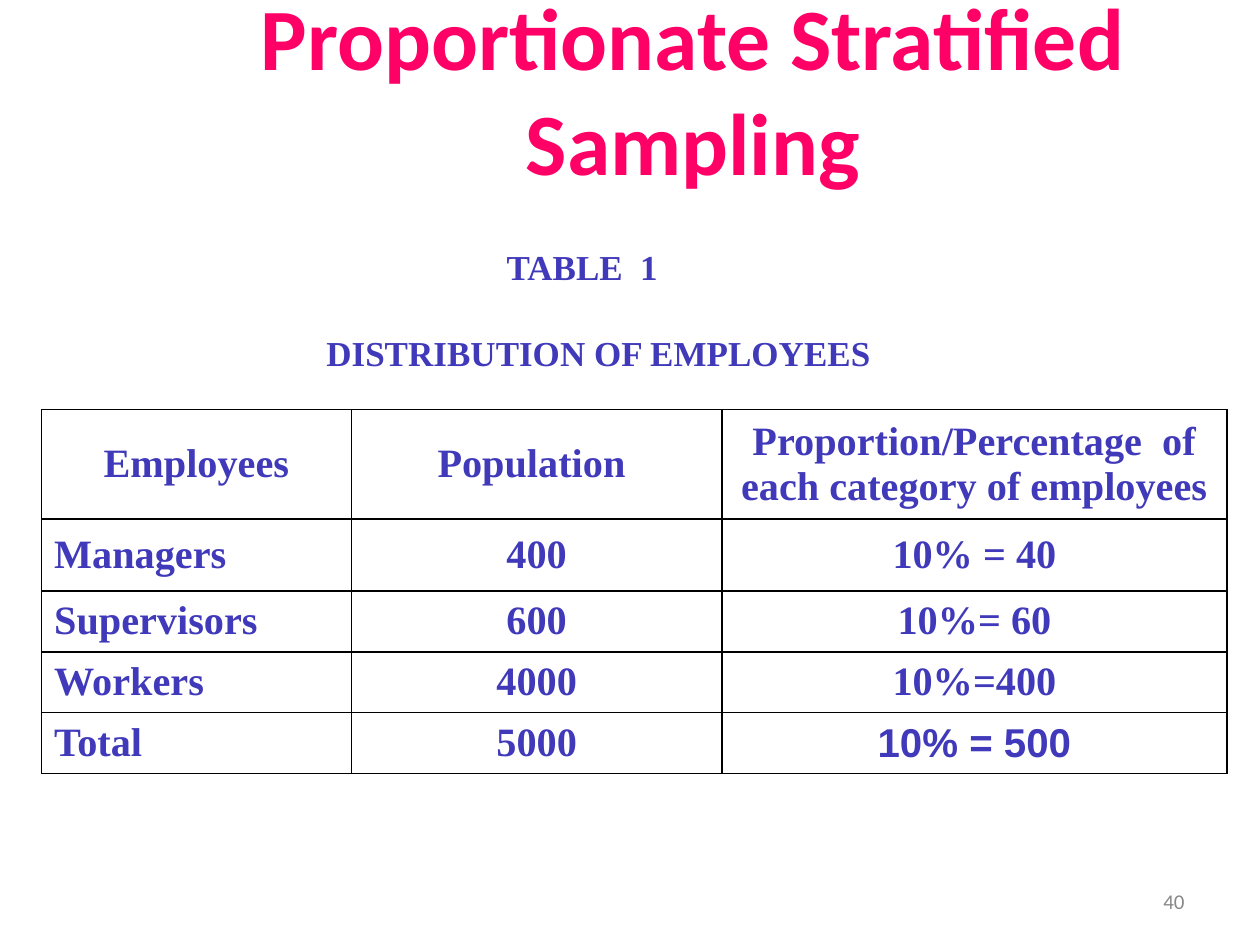
from pptx import Presentation
from pptx.dml.color import RGBColor as Rgb
from pptx.enum.text import MSO_ANCHOR as Anchor, PP_ALIGN as Align
from pptx.oxml.ns import qn
from pptx.util import Inches, Pt
from lxml.etree import SubElement as Sub

BLUE = "403ABA"
SERIF = "Times New Roman"
HEAD = {"name": "Calibri", "size": Pt(50), "bold": True, "color": "FF0066"}
LABEL = {"name": SERIF, "size": Pt(20), "bold": True, "color": BLUE}
CELL = {**LABEL, "size": Pt(23)}
PAGE = {"name": "Calibri", "size": Pt(12), "bold": False, "color": "888888"}
COLS = (2.46, 2.94, 4.01)
HIGH = (0.87, 0.57, 0.48, 0.48, 0.48)
ROWS = (
    ("Employees", "Population ", "Proportion/Percentage  of each category of employees"),
    ("Managers", "400", "10% = 40"),
    ("Supervisors", "600", "10%= 60"),
    ("Workers", "4000", "10%=400"),
    ("Total", "5000", "10% = 500"),
)


def tint(code):
    """Turn a hex string into a colour."""
    return Rgb.from_string(code)


def style(par, look, align=Align.LEFT):
    """Apply format values to a paragraph."""
    par.alignment = align
    for key, value in look.items():
        if key == "color":
            par.font.color.rgb = tint(value)
        else:
            setattr(par.font, key, value)


def place(shape, box):
    """Move a shape to a box given in inches."""
    for key, value in zip(("left", "top", "width", "height"), box):
        setattr(shape, key, Inches(value))


def frame(shape, anchor, pad=(0.1, 0.05)):
    """Set wrapping, anchor and margins of a shape's text."""
    text = shape.text_frame
    side, edge = map(Inches, pad)
    values = {"word_wrap": True, "vertical_anchor": anchor,
              "margin_left": side, "margin_right": side,
              "margin_top": edge, "margin_bottom": edge}
    for key, value in values.items():
        setattr(text, key, value)
    return text


def title(slide, box):
    """Fill the title placeholder."""
    shape = slide.shapes.title
    place(shape, box)
    text = frame(shape, Anchor.BOTTOM)
    text.text = "Proportionate Stratified Sampling"
    style(text.paragraphs[0], HEAD, Align.CENTER)


def label(slide, box):
    """Add the two caption lines above the table."""
    shape = slide.shapes.add_textbox(*map(Inches, box))
    text = frame(shape, Anchor.MIDDLE, (0, 0))
    text.text = "TABLE  1\nDISTRIBUTION OF EMPLOYEES"
    for par, left in zip(text.paragraphs, (2, 0.57)):
        par._p.get_or_add_pPr().set("marL", str(Inches(left)))
        style(par, LABEL)
    text.paragraphs[1].space_before = Pt(25)


def border(cell):
    """Draw a thin black line on each side of a cell."""
    prop = cell._tc.get_or_add_tcPr()
    for spot, side in enumerate(("a:lnL", "a:lnR", "a:lnT", "a:lnB")):
        line = Sub(prop, qn(side), w=str(Pt(1)))
        fill = Sub(line, qn("a:solidFill"))
        Sub(fill, qn("a:srgbClr"), val="000000")
        prop.insert(spot, line)


def table(slide, box):
    """Add the table of employees."""
    shape = slide.shapes.add_table(len(ROWS), len(COLS), *map(Inches, box))
    grid = shape.table
    grid.first_row = grid.horz_banding = False
    for col, width in zip(grid.columns, COLS):
        col.width = Inches(width)
    for row, high, words in zip(grid.rows, HIGH, ROWS):
        row.height = Inches(high)
        for spot, (cell, word) in enumerate(zip(row.cells, words)):
            cell.text = word
            cell.vertical_anchor = Anchor.MIDDLE
            cell.fill.background()
            border(cell)
            first = spot == 0 and words is not ROWS[0]
            style(cell.text_frame.paragraphs[0], CELL,
                  Align.LEFT if first else Align.CENTER)
    last = grid.cell(len(ROWS) - 1, len(COLS) - 1)
    last.text_frame.paragraphs[0].font.name = "Arial"


def number(slide, box):
    """Add the page number."""
    shape = slide.shapes.add_textbox(*map(Inches, box))
    text = frame(shape, Anchor.MIDDLE)
    text.text = "40"
    style(text.paragraphs[0], PAGE, Align.RIGHT)


def main():
    """Build and save the slide."""
    deck = Presentation()
    deck.slide_width, deck.slide_height = Inches(10), Inches(7.5)
    slide = deck.slides.add_slide(deck.slide_layouts[5])
    number(slide, (7.17, 6.95, 2.33, 0.4))
    title(slide, (1.5, 0.33, 8, 1.25))
    label(slide, (2.02, 1.62, 5.89, 1.67))
    table(slide, (0.33, 3.25, sum(COLS), sum(HIGH)))
    deck.save("out.pptx")


if __name__ == "__main__":
    main()
